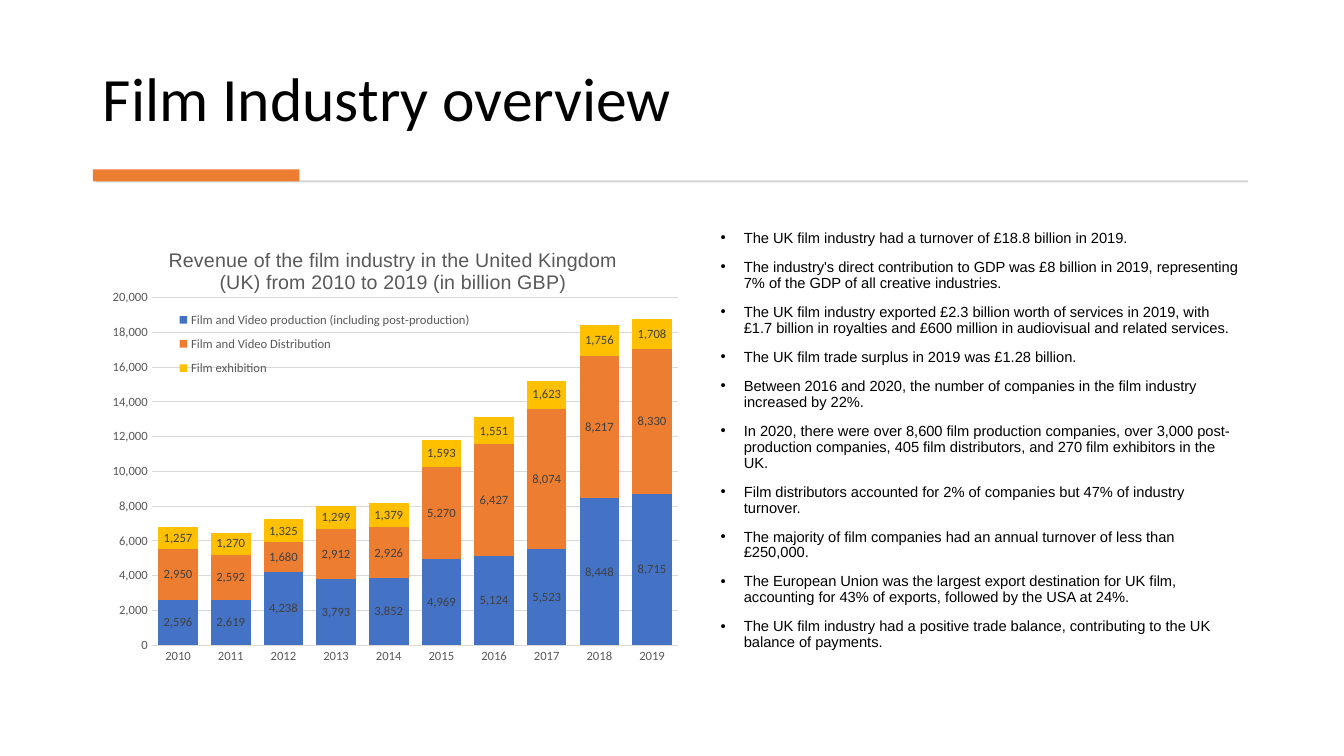
from lxml import etree
from pptx import Presentation
from pptx.chart.data import CategoryChartData
from pptx.dml.color import RGBColor
from pptx.enum.chart import XL_CHART_TYPE, XL_LABEL_POSITION, XL_LEGEND_POSITION, XL_TICK_MARK
from pptx.enum.shapes import MSO_SHAPE
from pptx.enum.text import MSO_ANCHOR, MSO_AUTO_SIZE, PP_ALIGN
from pptx.oxml import parse_xml
from pptx.oxml.ns import nsdecls, qn
from pptx.util import Inches, Pt

BLACK = RGBColor(0x00, 0x00, 0x00)
RULE_GRAY = RGBColor(0xD5, 0xD5, 0xD5)
GRID_GRAY = RGBColor(0xD9, 0xD9, 0xD9)
AXIS_GRAY = RGBColor(0x59, 0x59, 0x59)
LABEL_GRAY = RGBColor(0x40, 0x40, 0x40)
BLUE = RGBColor(0x44, 0x72, 0xC4)
ORANGE = RGBColor(0xED, 0x7D, 0x31)
GOLD = RGBColor(0xFF, 0xC0, 0x00)

CHART_TITLE = "Revenue of the film industry in the United Kingdom (UK) from 2010 to 2019 (in billion GBP)"
YEARS = [str(year) for year in range(2010, 2020)]
REVENUE = [
    ("Film and Video production (including post-production)", BLUE,
     [2596, 2619, 4238, 3793, 3852, 4969, 5124, 5523, 8448, 8715]),
    ("Film and Video Distribution", ORANGE,
     [2950, 2592, 1680, 2912, 2926, 5270, 6427, 8074, 8217, 8330]),
    ("Film exhibition", GOLD,
     [1257, 1270, 1325, 1299, 1379, 1593, 1551, 1623, 1756, 1708]),
]
FACTS = [
    "The UK film industry had a turnover of £18.8 billion in 2019.",
    "The industry's direct contribution to GDP was £8 billion in 2019, representing 7% of the GDP of all creative industries.",
    "The UK film industry exported £2.3 billion worth of services in 2019, with £1.7 billion in royalties and £600 million in audiovisual and related services.",
    "The UK film trade surplus in 2019 was £1.28 billion.",
    "Between 2016 and 2020, the number of companies in the film industry increased by 22%.",
    "In 2020, there were over 8,600 film production companies, over 3,000 post-production companies, 405 film distributors, and 270 film exhibitors in the UK.",
    "Film distributors accounted for 2% of companies but 47% of industry turnover.",
    "The majority of film companies had an annual turnover of less than £250,000.",
    "The European Union was the largest export destination for UK film, accounting for 43% of exports, followed by the USA at 24%.",
    "The UK film industry had a positive trade balance, contributing to the UK balance of payments.",
]


def set_font(font, name, size, color):
    font.name = name
    font.size = Pt(size)
    font.bold = False
    font.color.rgb = color


def format_title(slide, text):
    title = slide.shapes.title
    title.left, title.top = Inches(0.92), Inches(0.28)
    title.width, title.height = Inches(11.49), Inches(1.11)
    frame = title.text_frame
    frame.text = text
    frame.auto_size = MSO_AUTO_SIZE.NONE
    frame.vertical_anchor = MSO_ANCHOR.BOTTOM
    paragraph = frame.paragraphs[0]
    paragraph.alignment = PP_ALIGN.LEFT
    paragraph.line_spacing = 0.9
    set_font(paragraph.font, "Calibri", 44, BLACK)


def add_bar(slide, left, top, width, height, color):
    shape = slide.shapes.add_shape(
        MSO_SHAPE.RECTANGLE, Inches(left), Inches(top), Inches(width), Inches(height))
    shape.shadow.inherit = False
    shape.fill.solid()
    shape.fill.fore_color.rgb = color
    shape.line.fill.background()


def make_layout(x, y, width=None, height=None, inner=False):
    settings = [("layoutTarget", "inner")] if inner else []
    settings += [("xMode", "edge"), ("yMode", "edge"), ("x", x), ("y", y)]
    if width is not None:
        settings += [("w", width), ("h", height)]
    body = "".join(f'<c:{tag} val="{value}"/>' for tag, value in settings)
    return parse_xml(
        f'<c:layout {nsdecls("c")}><c:manualLayout>{body}</c:manualLayout></c:layout>')


def place_part(part, layout, after=None):
    for old in part.findall(qn("c:layout")):
        part.remove(old)
    if after is None:
        part.insert(0, layout)
    else:
        part.find(qn(after)).addnext(layout)


def format_axes(chart):
    for axis in (chart.category_axis, chart.value_axis):
        axis.major_tick_mark = XL_TICK_MARK.NONE
        axis.minor_tick_mark = XL_TICK_MARK.NONE
        set_font(axis.tick_labels.font, "Calibri", 9, AXIS_GRAY)
    value_axis = chart.value_axis
    value_axis.minimum_scale = 0
    value_axis.maximum_scale = 20000
    value_axis.major_unit = 2000
    value_axis.tick_labels.number_format = "#,##0"
    value_axis.tick_labels.number_format_is_linked = False
    value_axis.format.line.fill.background()
    for line in (chart.category_axis.format.line, value_axis.major_gridlines.format.line):
        line.color.rgb = GRID_GRAY
        line.width = Pt(0.75)


def format_series(series, color):
    series.format.fill.solid()
    series.format.fill.fore_color.rgb = color
    labels = series.data_labels
    labels.show_value = True
    labels.number_format = "#,##0"
    labels.number_format_is_linked = False
    labels.position = XL_LABEL_POSITION.CENTER
    set_font(labels.font, "Calibri", 9, LABEL_GRAY)


def add_revenue_chart(slide):
    data = CategoryChartData(number_format="#,##0")
    data.categories = YEARS
    for name, _, values in REVENUE:
        data.add_series(name, values)
    chart = slide.shapes.add_chart(
        XL_CHART_TYPE.COLUMN_STACKED, Inches(0.92), Inches(2.24),
        Inches(5.97), Inches(4.51), data).chart
    set_font(chart.font, "Calibri", 10, BLACK)

    title_frame = chart.chart_title.text_frame
    title_frame.text = CHART_TITLE
    set_font(title_frame.paragraphs[0].font, "Arial", 14, AXIS_GRAY)
    chart.chart_title.include_in_layout = False
    place_part(chart.chart_title._element, make_layout(0.12, 0.04), "c:tx")

    chart.has_legend = True
    chart.legend.position = XL_LEGEND_POSITION.BOTTOM
    chart.legend.include_in_layout = False
    set_font(chart.legend.font, "Calibri", 9, AXIS_GRAY)
    place_part(chart.legend._element, make_layout(0.11, 0.17, 0.55, 0.18), "c:legendPos")

    plot = chart.plots[0]
    plot.gap_width = 33
    plot.overlap = 100
    plot.vary_by_categories = False
    plot_area = chart._chartSpace.find(".//" + qn("c:plotArea"))
    place_part(plot_area, make_layout(0.098, 0.158, 0.875, 0.765, inner=True))
    format_axes(chart)
    for series, (_, color, _) in zip(plot.series, REVENUE):
        format_series(series, color)


def add_bullet(paragraph):
    properties = paragraph._p.get_or_add_pPr()
    properties.set("marL", str(Inches(0.23)))
    properties.set("indent", str(-Inches(0.23)))
    etree.SubElement(properties, qn("a:buFont")).set("typeface", "Arial")
    etree.SubElement(properties, qn("a:buChar")).set("char", "•")


def add_facts(slide):
    frame = slide.shapes.add_textbox(
        Inches(7.05), Inches(2.24), Inches(5.37), Inches(4.51)).text_frame
    frame.word_wrap = True
    for index, fact in enumerate(FACTS):
        paragraph = frame.add_paragraph() if index else frame.paragraphs[0]
        paragraph.text = fact
        add_bullet(paragraph)
        paragraph.line_spacing = 0.9
        paragraph.space_before = Pt(9.4 if index else 0)
        set_font(paragraph.font, "Arial", 10.5, BLACK)


def main():
    presentation = Presentation()
    presentation.slide_width = Inches(13.33)
    presentation.slide_height = Inches(7.5)
    slide = presentation.slides.add_slide(presentation.slide_layouts[5])
    format_title(slide, "Film Industry overview")
    add_bar(slide, 0.95, 1.79, 11.43, 0.02, RULE_GRAY)
    add_bar(slide, 0.92, 1.68, 2.05, 0.12, ORANGE)
    add_revenue_chart(slide)
    add_facts(slide)
    presentation.save("out.pptx")


if __name__ == "__main__":
    main()
